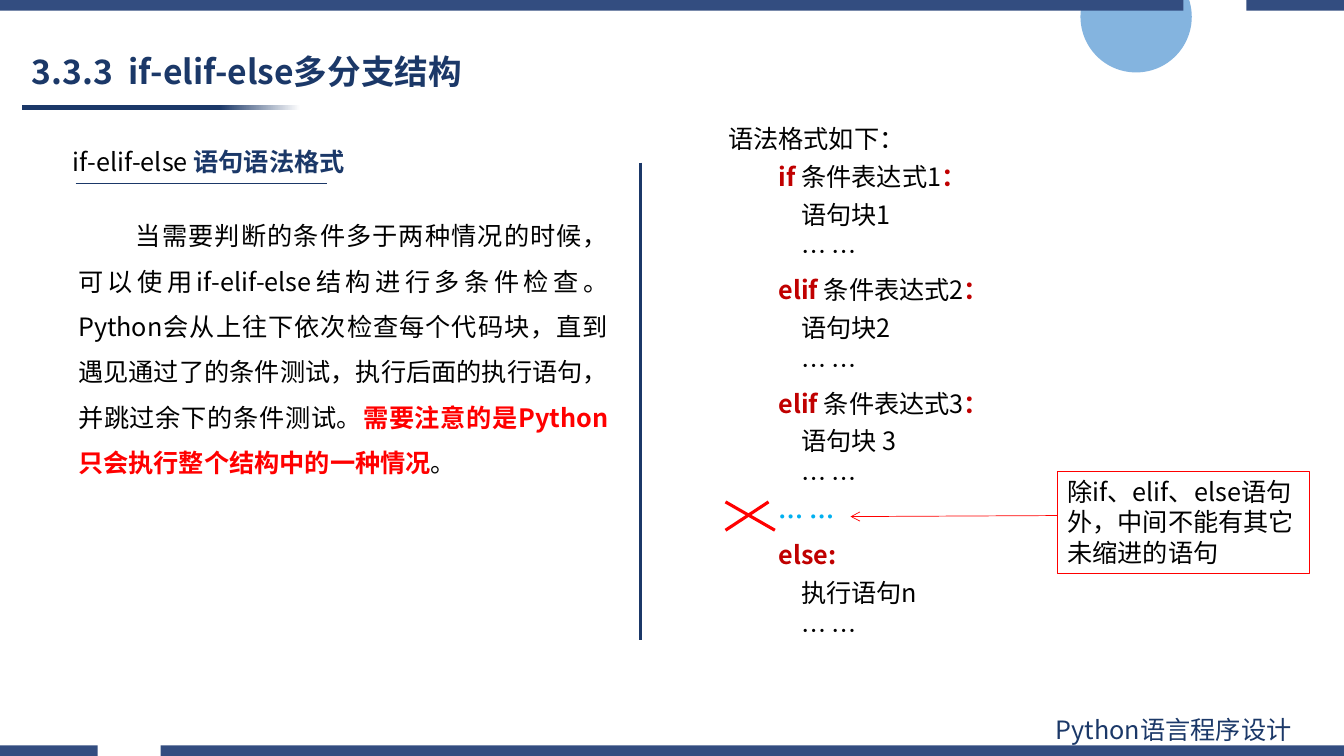
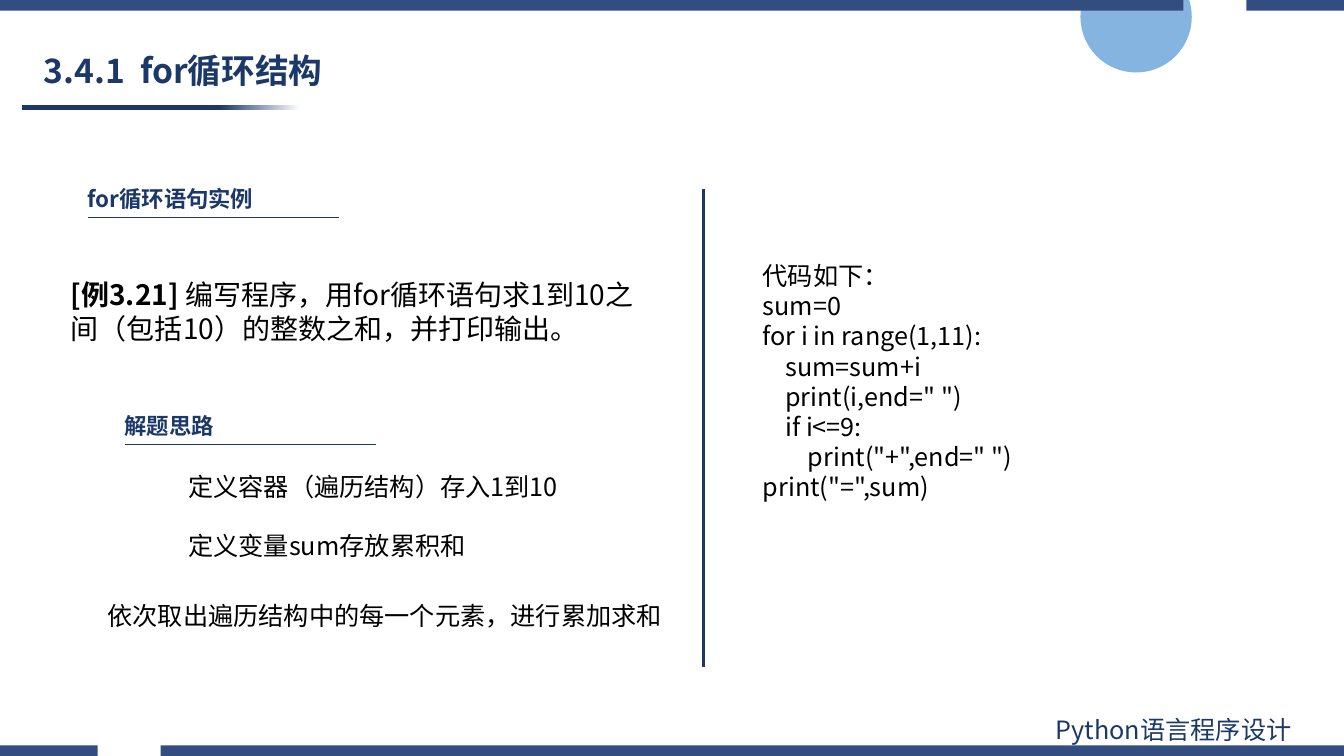
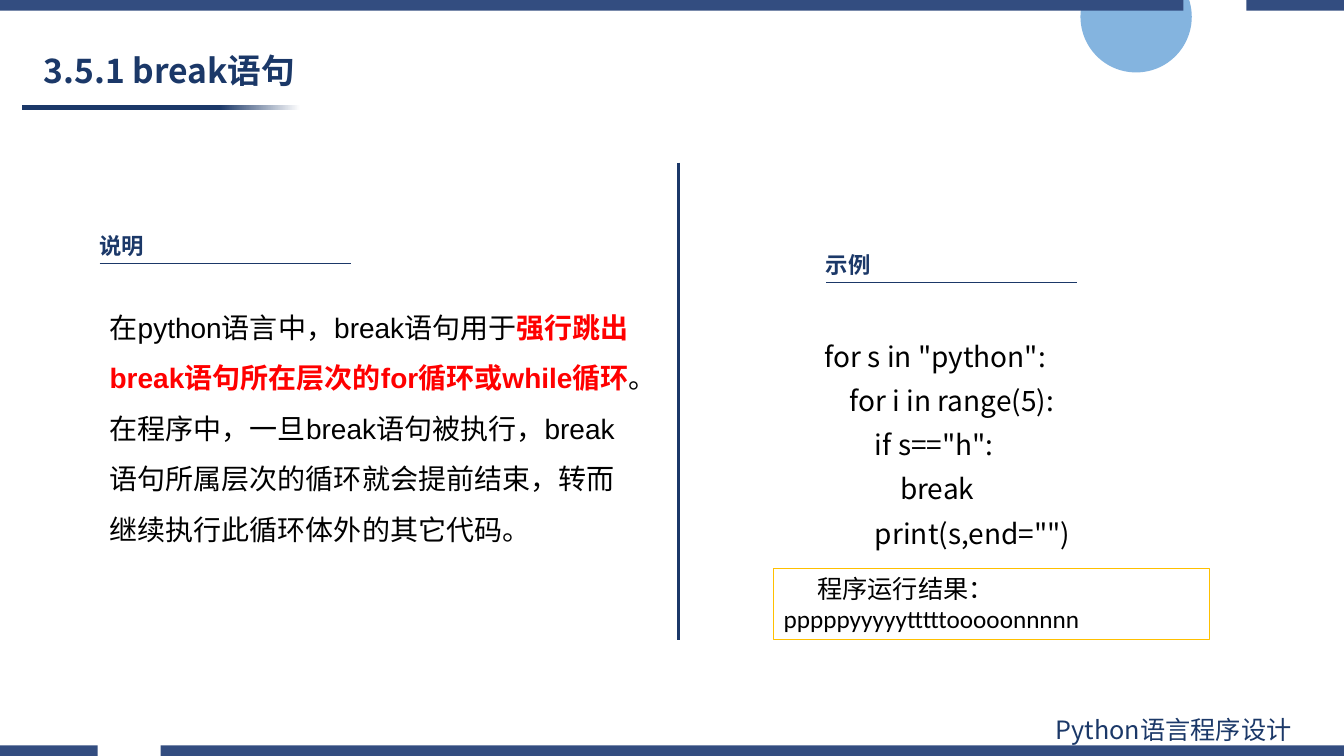
"""Build three slides on Python branches, loops and break."""
from dataclasses import dataclass
from typing import NamedTuple, Optional, Union

from lxml.etree import SubElement
from pptx import Presentation
from pptx.dml.color import RGBColor
from pptx.enum.shapes import MSO_CONNECTOR, MSO_SHAPE
from pptx.enum.text import MSO_ANCHOR, PP_ALIGN
from pptx.oxml.ns import qn
from pptx.shapes.autoshape import Shape
from pptx.shapes.connector import Connector
from pptx.shapes.shapetree import GroupShapes, SlideShapes
from pptx.text.text import TextFrame
from pptx.util import Emu, Pt

SCALE = 9525
WIDE, HIGH = 1280, 720
NAVY = RGBColor(0x1B, 0x38, 0x68)
BAND = RGBColor(0x33, 0x4D, 0x80)
BLUE = RGBColor(0x5B, 0x9B, 0xD5)
CYAN = RGBColor(0x00, 0xB0, 0xF0)
RED = RGBColor(0xFF, 0x00, 0x00)
DARK = RGBColor(0xC0, 0x00, 0x00)
GOLD = RGBColor(0xFF, 0xC0, 0x00)
BLACK = RGBColor(0x00, 0x00, 0x00)
WHITE = RGBColor(0xFF, 0xFF, 0xFF)
SANS = "Noto Sans CJK SC"
Tree = Union[SlideShapes, GroupShapes]


class Span(NamedTuple):
    text: str
    color: RGBColor = BLACK
    bold: bool = False


class Area(NamedTuple):
    x: int
    y: int
    w: int
    h: int


@dataclass
class Style:
    size: int = 18
    font: str = SANS
    space: Union[float, Pt] = 1.0
    before: int = 0
    after: int = 0
    left: int = 0
    first: int = 0
    align: PP_ALIGN = PP_ALIGN.LEFT


Line = list[Span]
PLAIN = Style()
TITLE = Style(size=24, space=0.9)
LABEL = Style(size=16)
BODY = Style(space=1.5, left=30, first=55, align=PP_ALIGN.JUSTIFY)
INTRO = Style(space=1.3, after=6)
SYNTAX = Style(space=Pt(15), before=6, after=6, left=48)
STEP = Style(space=Pt(15))
LARGE = Style(size=20)
CODE = Style(size=20, space=0.9, before=10)
PROSE = Style(size=20, font="Arial", space=1.5)
RESULT = Style(font="Calibri", first=32)


def px(count: int) -> Emu:
    return Emu(count * SCALE)


def place(area: Area) -> list[Emu]:
    return [px(side) for side in area]


def write(frame: TextFrame, lines: list[Line], styles: list[Style]) -> None:
    frame.word_wrap = True
    for at, (line, style) in enumerate(zip(lines, styles)):
        para = frame.paragraphs[0] if at == 0 else frame.add_paragraph()
        para.text = line[0].text
        for span in line[1:]:
            para.add_run().text = span.text
        para.alignment = style.align
        para.line_spacing = style.space
        para.space_before = Pt(style.before if at else 0)
        para.space_after = Pt(style.after)
        props = para._p.get_or_add_pPr()
        props.set("marL", str(px(style.left)))
        props.set("indent", str(px(style.first)))
        for run, span in zip(para.runs, line):
            run.font.size = Pt(style.size)
            run.font.bold = span.bold
            run.font.color.rgb = span.color
            run.font.name = style.font
            SubElement(run._r.get_or_add_rPr(), qn("a:ea"), typeface=SANS)


def text(tree: Tree, area: Area, lines: list[Line], style: Style) -> Shape:
    box = tree.add_textbox(*place(area))
    write(box.text_frame, lines, [style] * len(lines))
    return box


def panel(tree: Tree, area: Area, line: Line, style: Style, edge: RGBColor) -> None:
    box = tree.add_shape(MSO_SHAPE.RECTANGLE, *place(area))
    box.shadow.inherit = False
    box.fill.background()
    box.line.color.rgb = edge
    box.line.width = Pt(0.75)
    box.text_frame.vertical_anchor = MSO_ANCHOR.TOP
    write(box.text_frame, [line], [style])


def stroke(tree: Tree, start: tuple[int, int], end: tuple[int, int],
           color: RGBColor, width: float) -> Connector:
    line = tree.add_connector(MSO_CONNECTOR.STRAIGHT,
                              *[px(side) for side in start + end])
    line.line.color.rgb = color
    line.line.width = Pt(width)
    SubElement(line._element.spPr, qn("a:effectLst"))
    return line


def arrow(tree: Tree, start: tuple[int, int], end: tuple[int, int]) -> None:
    line = stroke(tree, start, end, RED, 0.5)
    SubElement(line._element.spPr.find(qn("a:ln")), qn("a:tailEnd"), type="arrow")


def rule(tree: Tree, x: int, y: int) -> None:
    stroke(tree, (x, y), (x + 239, y), NAVY, 0.5)


def split(tree: Tree, x: int, y: int) -> None:
    stroke(tree, (x, y), (x, y + 455), NAVY, 2)


def label(tree: Tree, x: int, y: int, words: str) -> None:
    text(tree, Area(x, y, 326, 36), [[Span(words, NAVY, True)]], LABEL)
    rule(tree, x + 10, y + 35)


def band(tree: Tree, y: int, spans: list[tuple[int, int]]) -> None:
    form = tree.build_freeform(spans[0][0], y, SCALE)
    for at, (left, right) in enumerate(spans):
        if at:
            form.move_to(left, y)
        form.add_line_segments([(right, y), (right, y + 10), (left, y + 10)], close=True)
    bar = form.convert_to_shape()
    bar.shadow.inherit = False
    bar.fill.solid()
    bar.fill.fore_color.rgb = BAND
    bar.line.fill.background()


def frame(tree: Tree, title: str, area: Area) -> None:
    disc = tree.add_shape(MSO_SHAPE.OVAL, *place(Area(1029, -37, 106, 106)))
    disc.fill.solid()
    disc.fill.fore_color.rgb = BLUE
    tint = disc._element.spPr.find(qn("a:solidFill"))[0]
    SubElement(tint, qn("a:alpha"), val="75000")
    fade = tree.add_shape(MSO_SHAPE.RECTANGLE, *place(Area(21, 100, 265, 5)))
    fade.fill.gradient()
    fade.fill.gradient_angle = 0
    for stop, spot, color in zip(fade.fill.gradient_stops, (0.71, 1.0), (NAVY, WHITE)):
        stop.position = spot
        stop.color.rgb = color
    for shape in (disc, fade):
        shape.shadow.inherit = False
        shape.line.fill.background()
    spans = [(153, WIDE), (0, 93)]
    band(tree, HIGH - 10, spans)
    band(tree, 0, [(WIDE - right, WIDE - left) for left, right in spans])
    text(tree, Area(996, 676, 282, 38), [[Span("Python语言程序设计", NAVY)]], PLAIN)
    head = text(tree, area, [[Span(title, NAVY, True)]], TITLE)
    head.text_frame.vertical_anchor = MSO_ANCHOR.MIDDLE


def clause(word: str, count: int, block: str) -> list[Line]:
    return [
        [Span(f"{word} ", DARK, True), Span(f"条件表达式{count}"), Span("：", DARK, True)],
        [Span(f"    {block}")],
        [Span("    … …")],
    ]


def branch(tree: Tree) -> None:
    frame(tree, "3.3.3  if-elif-else多分支结构", Area(21, 43, 548, 54))
    text(tree, Area(35, 191, 554, 272), [[
        Span("当需要判断的条件多于两种情况的时候，可以使用if-elif-else结构进行多条件检查。"
             "Python会从上往下依次检查每个代码块，直到遇见通过了的条件测试，"
             "执行后面的执行语句，并跳过余下的条件测试。"),
        Span("需要注意的是Python只会执行整个结构中的一种情况", RED, True),
        Span("。"),
    ]], BODY)
    split(tree, 610, 155)
    text(tree, Area(60, 135, 326, 38),
         [[Span("if-elif-else "), Span("语句语法格式", NAVY, True)]], PLAIN)
    rule(tree, 72, 175)
    lines = [
        [Span("语法格式如下：")],
        *clause("if", 1, "语句块1"),
        *clause("elif", 2, "语句块2"),
        *clause("elif", 3, "语句块 3"),
        [Span("… …", CYAN, True)],
        [Span("else:", DARK, True)],
        [Span("    执行语句n")],
        [Span("    … …")],
    ]
    box = tree.add_textbox(*place(Area(684, 104, 575, 520)))
    write(box.text_frame, lines, [INTRO] + [SYNTAX] * (len(lines) - 1))
    panel(tree, Area(1007, 449, 240, 97),
          [Span("除if、elif、else语句外，中间不能有其它未缩进的语句")], PLAIN, RED)
    arrow(tree, (1007, 491), (810, 492))
    cross = tree.add_group_shape().shapes
    stroke(cross, (732, 478), (691, 505), RED, 2.25)
    stroke(cross, (691, 478), (738, 505), RED, 2.25)


def loop(tree: Tree) -> None:
    frame(tree, "3.4.1  for循环结构", Area(32, 42, 343, 54))
    label(tree, 74, 172, "for循环语句实例")
    split(tree, 670, 180)
    text(tree, Area(58, 260, 580, 74), [[
        Span("[例3.21] ", bold=True),
        Span("编写程序，用for循环语句求1到10之间（包括10）的整数之和，并打印输出。"),
    ]], LARGE)
    code = [
        "代码如下：",
        "sum=0",
        "for i in range(1,11):",
        "    sum=sum+i",
        '    print(i,end=" ")',
        "    if i<=9:",
        '        print("+",end=" ")',
        'print("=",sum)',
    ]
    text(tree, Area(717, 243, 446, 242), [[Span(row)] for row in code], PLAIN)
    label(tree, 109, 388, "解题思路")
    steps = [
        (170, 453, "定义容器（遍历结构）存入1到10"),
        (170, 509, "定义变量sum存放累积和"),
        (93, 576, "依次取出遍历结构中的每一个元素，进行累加求和"),
    ]
    for x, y, words in steps:
        text(tree, Area(x, y, 563, 30), [[Span(words)]], STEP)


def leave(tree: Tree) -> None:
    frame(tree, "3.5.1 break语句", Area(32, 42, 343, 54))
    label(tree, 777, 234, "示例")
    code = [
        'for s in "python":',
        "    for i in range(5):",
        '        if s=="h":',
        "            break",
        '        print(s,end="")',
    ]
    text(tree, Area(776, 322, 364, 209), [[Span(row)] for row in code], CODE)
    text(tree, Area(95, 275, 515, 252), [
        [Span("在python语言中，break语句用于"),
         Span("强行跳出break语句所在层次的for循环或while循环", RED, True),
         Span("。")],
        [Span("在程序中，一旦break语句被执行，break语句所属层次的循环就会提前结束，"
              "转而继续执行此循环体外的其它代码。")],
    ], PROSE)
    label(tree, 85, 216, "说明")
    split(tree, 646, 155)
    panel(tree, Area(737, 541, 415, 68),
          [Span("程序运行结果：pppppyyyyytttttooooonnnnn")], RESULT, GOLD)


def main() -> None:
    deck = Presentation()
    deck.slide_width, deck.slide_height = px(WIDE), px(HIGH)
    for draw in (branch, loop, leave):
        draw(deck.slides.add_slide(deck.slide_layouts[6]).shapes)
    deck.save("out.pptx")


if __name__ == "__main__":
    main()
